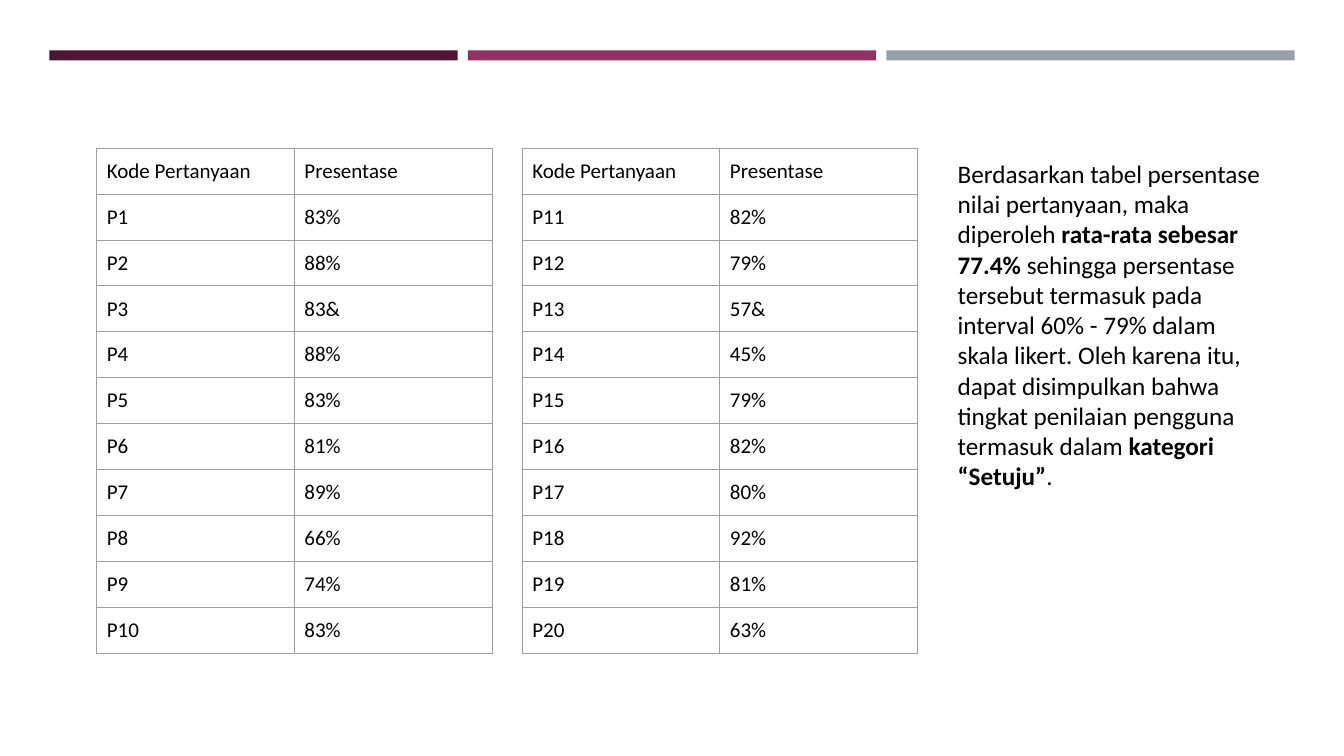
from dataclasses import dataclass
from lxml.etree import SubElement
from pptx import Presentation
from pptx.dml.color import RGBColor as RGB
from pptx.enum.shapes import MSO_SHAPE as Shape
from pptx.oxml.ns import qn
from pptx.util import Pt

SCALE = 9144  # EMU per px, 100 px to the inch


@dataclass(frozen=True)
class Theme:
    bars: tuple = ("4D1434", "903163", "969FA7")
    ink: str = "000000"
    rule: str = "9E9E9E"
    face: str = "Calibri"
    cell: int = 15
    body: int = 18


THEME = Theme()
HEAD = ("Kode Pertanyaan", "Presentase")
RATES = (
    "83% 88% 83& 88% 83% 81% 89% 66% 74% 83%".split(),
    "82% 79% 57& 45% 79% 82% 80% 92% 81% 63%".split(),
)
# Text and whether it is bold
NOTE = (
    ("Berdasarkan tabel persentase nilai pertanyaan, maka diperoleh ", False),
    ("rata-rata sebesar 77.4%", True),
    (" sehingga persentase tersebut termasuk pada interval 60% - 79% dalam "
     "skala likert. Oleh karena itu, dapat disimpulkan bahwa tingkat "
     "penilaian pengguna termasuk dalam ", False),
    ("kategori “Setuju”", True),
    (".", False),
)


def px(*sizes):
    return [size * SCALE for size in sizes]


def set_font(para, size):
    font = para.font
    font.name, font.size = THEME.face, Pt(size)
    font.color.rgb = RGB.from_string(THEME.ink)


def set_inset(box):
    box.margin_left, box.margin_top, box.margin_right, box.margin_bottom = px(10, 10, 10, 10)


def add_bar(slide, left, color):
    bar = slide.shapes.add_shape(Shape.RECTANGLE, *px(left, 50, 405, 10))
    bar.shadow.inherit = False
    bar.fill.solid()
    bar.fill.fore_color.rgb = RGB.from_string(color)
    bar.line.fill.background()


def add_rules(cell):
    props = cell._tc.get_or_add_tcPr()
    for side in "LRTB":
        line = SubElement(props, qn(f"a:ln{side}"), w=str(Pt(0.75)))
        fill = SubElement(line, qn("a:solidFill"))
        SubElement(fill, qn("a:srgbClr"), val=THEME.rule)


def add_grid(slide, left, rows):
    frame = slide.shapes.add_table(len(rows), 2, *px(left, 147, 392, 41 * len(rows)))
    table = frame.table
    table.first_row = table.horz_banding = False
    for r, row in enumerate(rows):
        for c, text in enumerate(row):
            cell = table.cell(r, c)
            cell.text = text
            set_inset(cell)
            set_font(cell.text_frame.paragraphs[0], THEME.cell)
            add_rules(cell)
            cell.fill.background()


def add_note(slide, runs):
    frame = slide.shapes.add_textbox(*px(940, 147, 328, 354)).text_frame
    frame.word_wrap = True
    set_inset(frame)
    para = frame.paragraphs[0]
    set_font(para, THEME.body)
    for text, bold in runs:
        run = para.add_run()
        run.text, run.font.bold = text, bold


def main():
    deck = Presentation()
    deck.slide_width, deck.slide_height = px(1333, 750)
    slide = deck.slides.add_slide(deck.slide_layouts[6])

    # Bars along the top
    for i, color in enumerate(THEME.bars):
        add_bar(slide, 49 + 415 * i, color)

    # Two tables, numbered on from one to the next
    for i, rates in enumerate(RATES):
        first = 1 + 10 * i
        rows = [(f"P{n}", rate) for n, rate in enumerate(rates, first)]
        add_grid(slide, 96 + 422 * i, [HEAD, *rows])

    # Conclusion
    add_note(slide, NOTE)
    deck.save("out.pptx")


if __name__ == "__main__":
    main()
